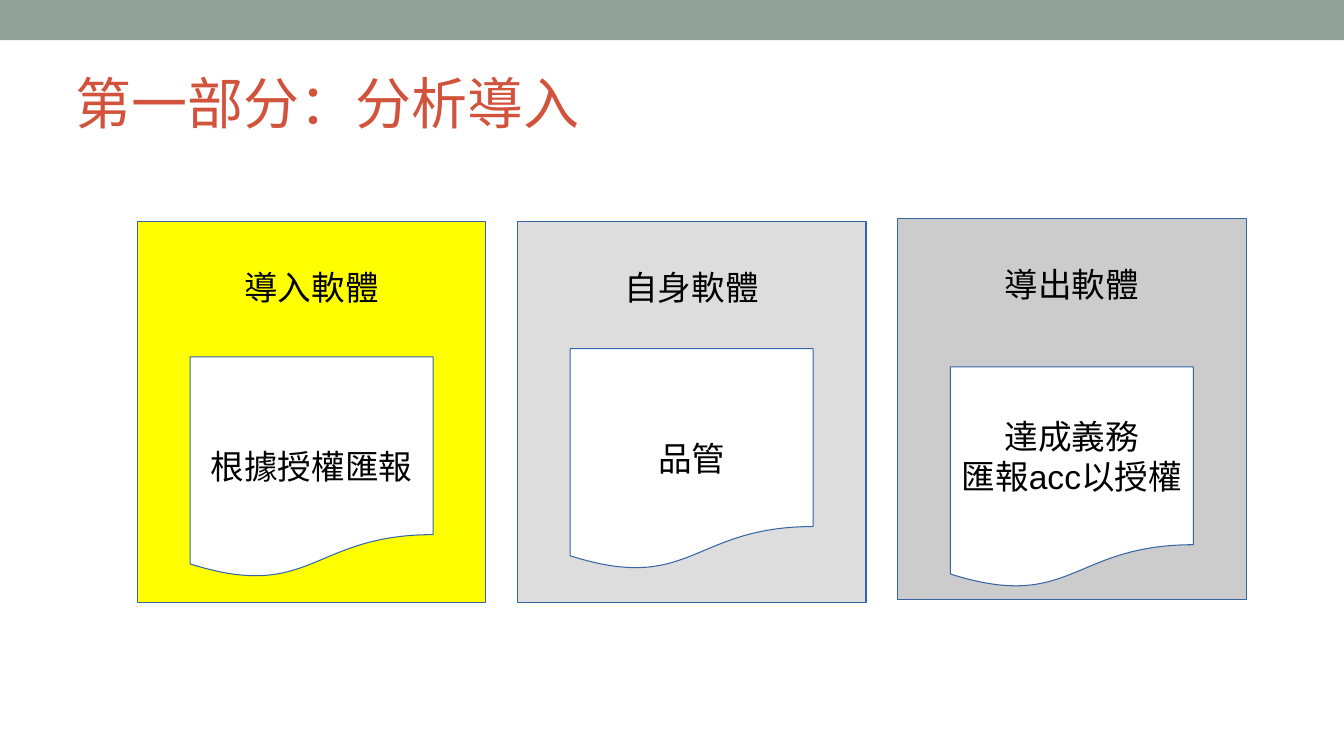
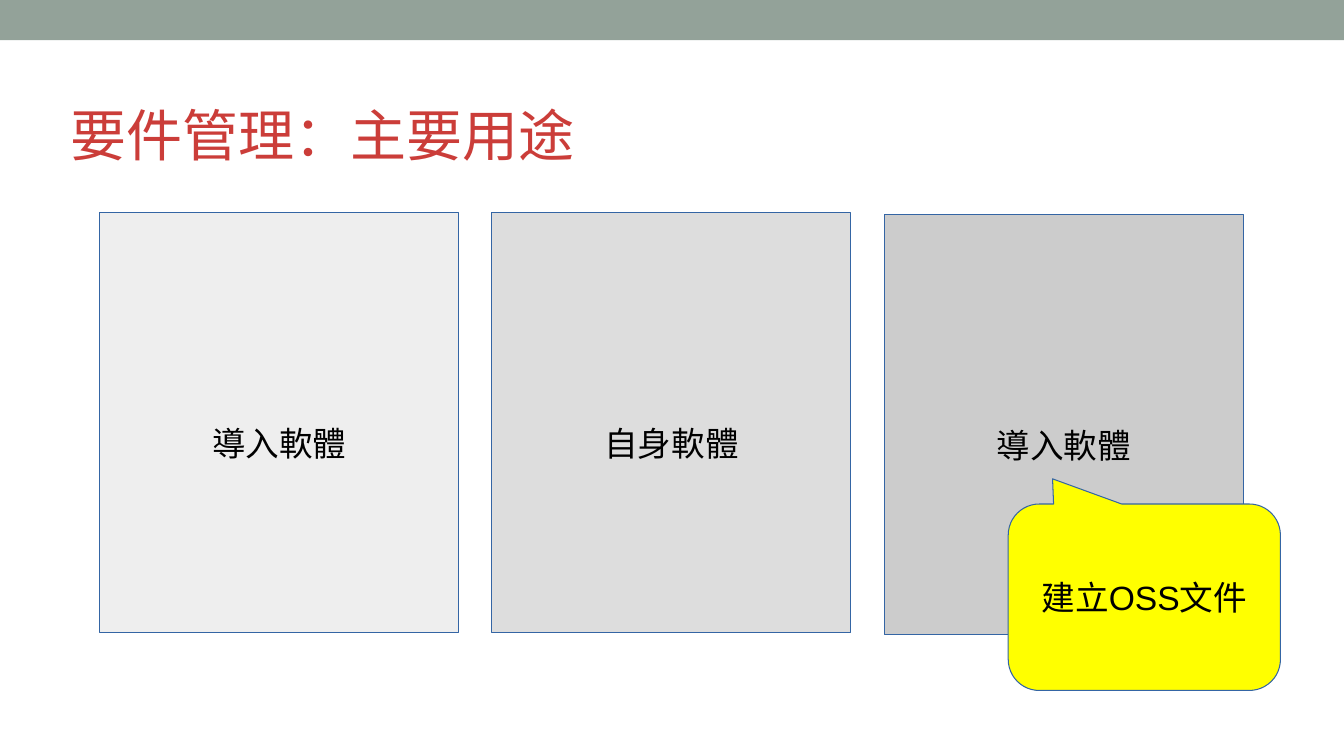
"""Builds two slides on how software enters, stays in and leaves an organisation."""
from pptx import Presentation
from pptx.dml.color import RGBColor
from pptx.enum.shapes import MSO_SHAPE as SHAPE
from pptx.enum.text import MSO_ANCHOR as ANCHOR, PP_ALIGN as ALIGN
from pptx.util import Inches, Pt

SLIDE_W, SLIDE_H, BAND_H = 13.33, 7.5, 0.4
TITLE_W, TITLE_H = 12, 1.15
BAND, EDGE, BLACK, WHITE, YELLOW = "93A299", "3465A4", "000000", "FFFFFF", "FFFF00"
TOP_INSET, LOW_INSET = 0.05, 0.45

ANALYSIS = {
    "title": ("第一部分：分析導入", 0.75, 0.2, "D2533C"),
    "left": 1.36, "step": 3.77, "size": (3.46, 3.78), "anchor": ANCHOR.TOP,
    "panels": [("導入軟體", 2.2, YELLOW), ("自身軟體", 2.2, "DDDDDD"), ("導出軟體", 2.17, "CCCCCC")],
}
DOC_W, DOC_H = 2.41, 2.2
DOCUMENTS = [
    ("根據授權匯報", 3.54, LOW_INSET),
    ("品管", 3.46, LOW_INSET),
    ("達成義務\n匯報acc以授權", 3.64, TOP_INSET),
]
USES = {
    "title": ("要件管理：主要用途", 0.7, 0.51, "CB3D39"),
    "left": 0.99, "step": 3.89, "size": (3.56, 4.17), "anchor": ANCHOR.MIDDLE,
    "panels": [("導入軟體", 2.11, "EEEEEE"), ("自身軟體", 2.11, "DDDDDD"), ("導入軟體", 2.13, "CCCCCC")],
}
CALLOUT = ("建立OSS文件", (10, 5, 2.7, 1.85))
CALLOUT_TIP = (10.44, 4.75)


def rgb(value):
    return RGBColor.from_string(value)


def write(s, text, size, font, color, align, anchor, insets):
    tf = s.text_frame
    tf.text = text
    frame = {"word_wrap": True, "vertical_anchor": anchor}
    for side, inset in zip(("left", "top", "right", "bottom"), insets):
        frame[f"margin_{side}"] = Inches(inset)
    for name, value in frame.items():
        setattr(tf, name, value)
    for p in tf.paragraphs:
        p.alignment = align
        for r in p.runs:
            r.font.size, r.font.name = Pt(size), font
            r.font.color.rgb = rgb(color)


def add_box(slide, kind, box, fill, line=EDGE):
    s = slide.shapes.add_shape(kind, *map(Inches, box))
    s.shadow.inherit = False
    s.fill.solid()
    s.fill.fore_color.rgb = rgb(fill)
    if line:
        s.line.color.rgb = rgb(line)
        s.line.width = Pt(0.75)
    else:
        s.line.fill.background()
    return s


def add_label(s, text, anchor=ANCHOR.MIDDLE, top=TOP_INSET):
    write(s, text, 24, "Arial", BLACK, ALIGN.CENTER, anchor, (0.1, top, 0.1, 0.05))


def add_slide(prs, content):
    slide = prs.slides.add_slide(prs.slide_layouts[6])
    add_box(slide, SHAPE.RECTANGLE, (0, 0, SLIDE_W, BAND_H), BAND, None)
    text, left, top, color = content["title"]
    title = slide.shapes.add_textbox(*map(Inches, (left, top, TITLE_W, TITLE_H)))
    write(title, text, 40, "Open Sans", color, ALIGN.LEFT, ANCHOR.BOTTOM, (0, 0, 0, 0))
    for i, (text, top, fill) in enumerate(content["panels"]):
        box = (content["left"] + i * content["step"], top, *content["size"])
        panel = add_box(slide, SHAPE.RECTANGLE, box, fill)
        add_label(panel, text, content["anchor"], LOW_INSET)
    return slide


def add_documents(slide):
    first = ANALYSIS["left"] + (ANALYSIS["size"][0] - DOC_W) / 2
    for i, (text, top, inset) in enumerate(DOCUMENTS):
        box = (first + i * ANALYSIS["step"], top, DOC_W, DOC_H)
        add_label(add_box(slide, SHAPE.FLOWCHART_DOCUMENT, box, WHITE), text, top=inset)


def add_callout(slide):
    text, box = CALLOUT
    s = add_box(slide, SHAPE.ROUNDED_RECTANGULAR_CALLOUT, box, YELLOW)
    left, top, width, height = box
    s.adjustments[0] = (CALLOUT_TIP[0] - left) / width - 0.5
    s.adjustments[1] = (CALLOUT_TIP[1] - top) / height - 0.5
    add_label(s, text)


def main():
    prs = Presentation()
    prs.slide_width, prs.slide_height = Inches(SLIDE_W), Inches(SLIDE_H)
    add_documents(add_slide(prs, ANALYSIS))
    add_callout(add_slide(prs, USES))
    prs.save("out.pptx")


if __name__ == "__main__":
    main()
